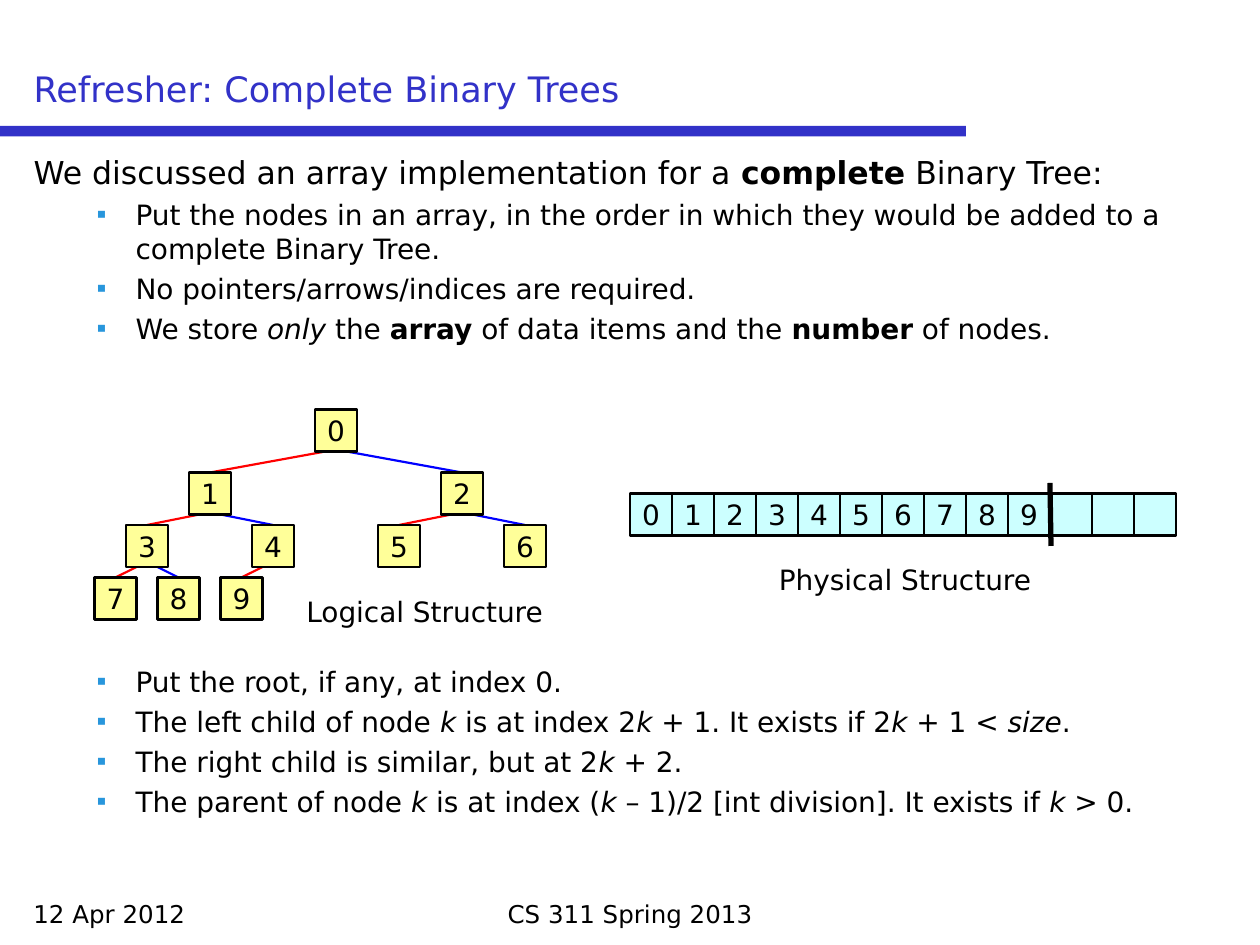
from typing import NamedTuple

from lxml.etree import SubElement
from pptx import Presentation
from pptx.dml.color import RGBColor
from pptx.enum.shapes import MSO_CONNECTOR, MSO_SHAPE
from pptx.enum.text import MSO_ANCHOR, MSO_AUTO_SIZE, PP_ALIGN
from pptx.oxml.ns import qn
from pptx.util import Inches, Pt

# Grid of 120 columns by 90 rows, one twelfth of an inch each
UNIT = Inches(10) // 120
CELL = 4
FONT = "DejaVu Sans"
BLACK, TITLE_BLUE, BULLET_BLUE = "000000", "3232C8", "2896DC"
NODE_FILL, ARRAY_FILL = "FFFF99", "CCFFFF"
LEFT_EDGE, RIGHT_EDGE = "FF0000", "0000FF"

NODE_COUNT, CAPACITY = 10, 13
ROOT_COL = 30
LEVEL_ROWS = (39, 45, 50, 55)
LINE_GAP, DIAGRAM_GAP = 3.7, 182.5  # points above a paragraph


class Area(NamedTuple):
    col: float
    row: float
    cols: float
    rows: float


class Run(NamedTuple):
    text: str
    bold: bool = False
    italic: bool = False


class Item(NamedTuple):
    runs: list[Run]
    gap: float = LINE_GAP


K = Run("k", italic=True)
INTRO = [Run("We discussed an array implementation for a "), Run("complete", bold=True),
         Run(" Binary Tree:")]
ITEMS = [
    Item([Run("Put the nodes in an array, in the order in which they would be "
              "added to a complete Binary Tree.")]),
    Item([Run("No pointers/arrows/indices are required.")]),
    Item([Run("We store "), Run("only", italic=True), Run(" the "), Run("array", bold=True),
          Run(" of data items and the "), Run("number", bold=True), Run(" of nodes.")]),
    Item([Run("Put the root, if any, at index 0.")], DIAGRAM_GAP),
    Item([Run("The left child of node "), K, Run(" is at index 2"), K,
          Run(" + 1. It exists if 2"), K, Run(" + 1 < "), Run("size", italic=True), Run(".")]),
    Item([Run("The right child is similar, but at 2"), K, Run(" + 2.")]),
    Item([Run("The parent of node "), K, Run(" is at index ("), K,
          Run(" – 1)/2 [int division]. It exists if "), K, Run(" > 0.")]),
]


def color(hex_code: str) -> RGBColor:
    return RGBColor.from_string(hex_code)


def span(*lengths: float) -> list[int]:
    return [round(length * UNIT) for length in lengths]


def place(shape, area: Area) -> None:
    shape.left, shape.top, shape.width, shape.height = span(*area)


def add_runs(paragraph, runs: list[Run], size: float, ink: str = BLACK) -> None:
    for part in runs:
        run = paragraph.add_run()
        run.text = part.text
        run.font.name, run.font.size = FONT, Pt(size)
        run.font.bold, run.font.italic = part.bold, part.italic
        run.font.color.rgb = color(ink)


def set_bullet(paragraph, indent: float, hanging: float, mark: str = "") -> None:
    props = paragraph._p.get_or_add_pPr()
    props.set("marL", str(Inches(indent)))
    props.set("indent", str(-Inches(hanging)))
    if mark:
        SubElement(SubElement(props, qn("a:buClr")), qn("a:srgbClr")).set("val", BULLET_BLUE)
        SubElement(props, qn("a:buChar")).set("char", mark)
    else:
        SubElement(props, qn("a:buNone"))


def add_label(slide, area: Area, text: str, size: float, align=PP_ALIGN.LEFT) -> None:
    frame = slide.shapes.add_textbox(*span(*area)).text_frame
    frame.word_wrap = True
    frame.paragraphs[0].alignment = align
    add_runs(frame.paragraphs[0], [Run(text)], size)


def add_box(slide, area: Area, fill: str, outlined: bool = True, text: str = "") -> None:
    box = slide.shapes.add_shape(MSO_SHAPE.RECTANGLE, *span(*area))
    box.shadow.inherit = False
    box.fill.solid()
    box.fill.fore_color.rgb = color(fill)
    if outlined:
        box.line.color.rgb, box.line.width = color(BLACK), Pt(1.25)
    else:
        box.line.fill.background()
    if text:
        frame = box.text_frame
        frame.word_wrap, frame.vertical_anchor = False, MSO_ANCHOR.MIDDLE
        frame.paragraphs[0].alignment = PP_ALIGN.CENTER
        add_runs(frame.paragraphs[0], [Run(text)], 16)


def add_line(slide, start: tuple, end: tuple, ink: str, width: float = 1.25) -> None:
    line = slide.shapes.add_connector(MSO_CONNECTOR.STRAIGHT, *span(*start, *end))
    line.line.color.rgb, line.line.width = color(ink), Pt(width)
    SubElement(line._element.spPr, qn("a:effectLst"))


def node_area(index: int) -> Area:
    """Each level halves the sideways step from parent to child."""
    depth = (index + 1).bit_length() - 1
    if index == 0:
        col = ROOT_COL
    else:
        step = 24 / 2 ** depth
        col = node_area((index - 1) // 2).col + (-step if index % 2 else step)
    return Area(col, LEVEL_ROWS[depth], CELL, CELL)


def add_tree(slide) -> None:
    for index in range(1, NODE_COUNT):
        child, parent = node_area(index), node_area((index - 1) // 2)
        shift, ink = (-1, LEFT_EDGE) if index % 2 else (1, RIGHT_EDGE)
        add_line(slide, (parent.col + CELL / 2 + shift, parent.row + CELL),
                 (child.col + CELL / 2, child.row), ink)
    for index in range(NODE_COUNT):
        add_box(slide, node_area(index), NODE_FILL, text=str(index))
    add_label(slide, Area(28, 56, 28, 4.4), "Logical Structure", 16)


def add_array(slide) -> None:
    col, row = 60, 47
    for index in range(CAPACITY):
        add_box(slide, Area(col + CELL * index, row, CELL, CELL), ARRAY_FILL,
                text=str(index) if index < NODE_COUNT else "")
    size_mark = col + CELL * NODE_COUNT
    add_line(slide, (size_mark, row - 1), (size_mark + 0.1, row + CELL + 1), BLACK, 3)
    add_label(slide, Area(73, 53, 28, 4.4), "Physical Structure", 16)


def main() -> None:
    deck = Presentation()
    deck.slide_width, deck.slide_height = Inches(10), Inches(7.5)
    slide = deck.slides.add_slide(deck.slide_layouts[1])

    # Title and its rule
    heading = slide.shapes.title
    place(heading, Area(2, 2, 116, 9))
    heading.text_frame.auto_size = MSO_AUTO_SIZE.NONE
    heading.text_frame.vertical_anchor = MSO_ANCHOR.BOTTOM
    heading.text_frame.paragraphs[0].alignment = PP_ALIGN.LEFT
    add_runs(heading.text_frame.paragraphs[0], [Run("Refresher: Complete Binary Trees")],
             20, TITLE_BLUE)
    add_box(slide, Area(0, 12, 92, 1), TITLE_BLUE, outlined=False)

    # Body list, with room for the diagrams in the middle
    body = slide.placeholders[1]
    place(body, Area(2, 14, 116, 70))
    frame = body.text_frame
    frame.auto_size = MSO_AUTO_SIZE.NONE
    intro = frame.paragraphs[0]
    set_bullet(intro, 0.38, 0.38)
    intro.space_before = Pt(0)
    add_runs(intro, INTRO, 18)
    for item in ITEMS:
        paragraph = frame.add_paragraph()
        paragraph.level = 1
        set_bullet(paragraph, 0.81, 0.31, "▪")
        paragraph.space_before = Pt(item.gap)
        add_runs(paragraph, item.runs, 16)

    # Diagrams
    add_tree(slide)
    add_array(slide)

    # Footer
    add_label(slide, Area(2, 85, 28, 4), "12 Apr 2012", 14)
    add_label(slide, Area(31, 85, 58, 4), "CS 311 Spring 2013", 14, PP_ALIGN.CENTER)

    deck.save("out.pptx")


if __name__ == "__main__":
    main()
